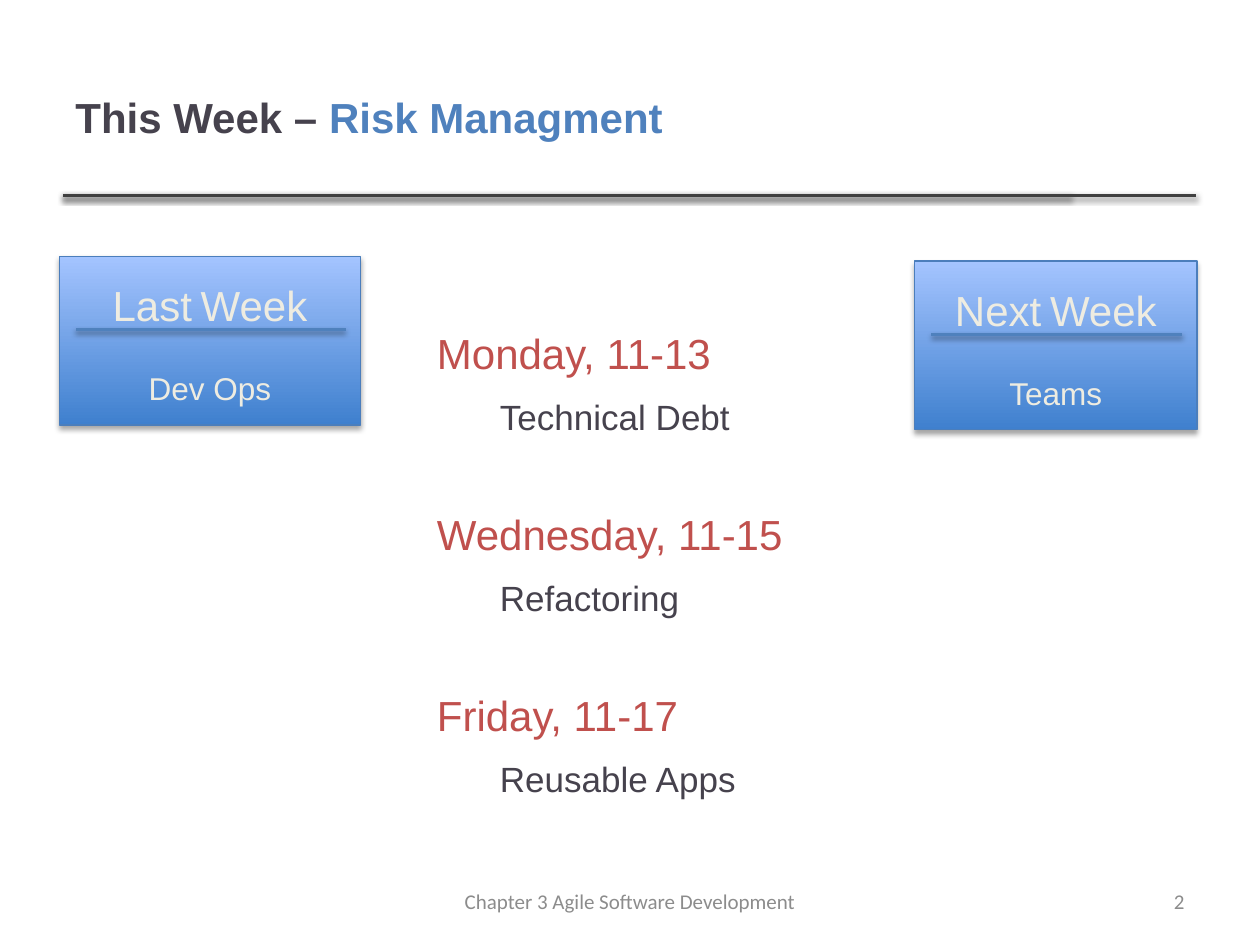
"""Build the weekly overview slide with the schedule and its neighbouring weeks."""
from dataclasses import dataclass

from lxml.etree import SubElement
from pptx import Presentation
from pptx.dml.color import RGBColor
from pptx.enum.shapes import MSO_CONNECTOR as Connector, MSO_SHAPE as Shape
from pptx.enum.text import MSO_ANCHOR as Anchor, PP_ALIGN as Align
from pptx.oxml.ns import qn
from pptx.util import Pt

INK = RGBColor(0x46, 0x42, 0x4D)
BLUE = RGBColor(0x4F, 0x81, 0xBD)
RED = RGBColor(0xC0, 0x50, 0x4D)
CREAM = RGBColor(0xEE, 0xEC, 0xE1)
GRAY = RGBColor(0x8C, 0x8C, 0x8C)
RULE_GRAY = RGBColor(0x40, 0x40, 0x40)
CARD_EDGE = RGBColor(0x4B, 0x7E, 0xBC)
CARD_DARK = RGBColor(0x3F, 0x80, 0xCE)
CARD_LIGHT = RGBColor(0xA4, 0xC4, 0xFF)


@dataclass
class Day:
    date: str
    topic: str


@dataclass
class Card:
    week: str
    topic: str
    left: float
    top: float
    width: float


DAYS = [
    Day("Monday, 11-13", "Technical Debt"),
    Day("Wednesday, 11-15", "Refactoring"),
    Day("Friday, 11-17", "Reusable Apps"),
]
CARDS = [
    Card("Next", "Teams", 522.7, 149.2, 161.3),
    Card("Last", "Dev Ops", 34, 146.4, 172),
]
CARD_HEIGHT = 96.5


def add_shadow(shape, opacity: int, distance: float) -> None:
    """Give a shape or connector a soft shadow falling downwards."""
    effects = SubElement(shape._element.spPr, qn("a:effectLst"))
    shadow = SubElement(
        effects, qn("a:outerShdw"), blurRad=str(Pt(3.1)), dist=str(Pt(distance)),
        dir="5400000", rotWithShape="0")
    color = SubElement(shadow, qn("a:srgbClr"), val="000000")
    SubElement(color, qn("a:alpha"), val=str(opacity * 1000))


def add_rule(page, left: float, right: float, y: float, color: RGBColor) -> None:
    """Draw a shadowed horizontal rule."""
    rule = page.shapes.add_connector(
        Connector.STRAIGHT, Pt(left), Pt(y), Pt(right), Pt(y))
    rule.line.color.rgb = color
    rule.line.width = Pt(2)
    add_shadow(rule, 38, 1.6)


def add_box(page, left: float, top: float, width: float, height: float,
            anchor=Anchor.TOP):
    """Add a wrapping text box and return its text frame."""
    frame = page.shapes.add_textbox(Pt(left), Pt(top), Pt(width), Pt(height)).text_frame
    frame.word_wrap = True
    frame.vertical_anchor = anchor
    return frame


def add_span(para, text: str, *, size: float, color: RGBColor,
             font: str = "Arial", bold: bool = False) -> None:
    """Append formatted text to a paragraph."""
    span = para.add_run()
    span.text = text
    span.font.size = Pt(size)
    span.font.name = font
    span.font.bold = bold
    span.font.color.rgb = color


def add_schedule(page, days: list[Day]) -> None:
    """List each date with its indented topic."""
    frame = add_box(page, 242.6, 182.2, 258.5, 272.9)
    for index, day in enumerate(days):
        date = frame.add_paragraph() if index else frame.paragraphs[0]
        date.space_before = Pt(36 if index else 6)
        date.space_after = Pt(6)
        add_span(date, day.date, size=24, color=RED)
        topic = frame.add_paragraph()
        topic.space_before = topic.space_after = Pt(3)
        topic._p.get_or_add_pPr().set("marL", str(Pt(36)))
        add_span(topic, day.topic, size=20, color=INK)
        date.line_spacing = topic.line_spacing = 1.05


def add_card(page, card: Card) -> None:
    """Draw a gradient card naming a week and its topic."""
    panel = page.shapes.add_shape(
        Shape.RECTANGLE, Pt(card.left), Pt(card.top), Pt(card.width), Pt(CARD_HEIGHT))
    panel.fill.gradient()
    panel.fill.gradient_angle = 90
    for stop, color, position in zip(
            panel.fill.gradient_stops, (CARD_DARK, CARD_LIGHT), (0, 1)):
        stop.color.rgb = color
        stop.position = position
    panel.line.color.rgb = CARD_EDGE
    panel.line.width = Pt(0.75)
    add_shadow(panel, 35, 1.8)

    frame = add_box(page, card.left, card.top + 10, card.width, 80)
    heading = frame.paragraphs[0]
    for text, size in ((card.week, 24), (" ", 18), ("Week", 24)):
        add_span(heading, text, size=size, color=CREAM)
    topic = frame.add_paragraph()
    topic.space_before = Pt(22)
    add_span(topic, card.topic, size=18, color=CREAM)
    heading.alignment = topic.alignment = Align.CENTER
    add_rule(page, card.left + 9.5, card.left + card.width - 8.5, card.top + 42, BLUE)


def add_footer(page, text: str, left: float, width: float, align) -> None:
    """Place one footer text."""
    para = add_box(page, left, 500.5, width, 28.75, Anchor.MIDDLE).paragraphs[0]
    para.alignment = align
    add_span(para, text, size=12, color=GRAY, font="Calibri")


def main() -> None:
    """Assemble and save the deck."""
    deck = Presentation()
    deck.slide_width, deck.slide_height = Pt(720), Pt(540)
    page = deck.slides.add_slide(deck.slide_layouts[6])

    for right in (611.5, 683.5):
        add_rule(page, 36, right, 111.6, RULE_GRAY)
    title = add_box(page, 36, 21.6, 574.6, 90, Anchor.MIDDLE).paragraphs[0]
    add_span(title, "This Week – ", size=24, color=INK, bold=True)
    add_span(title, "Risk Managment", size=24, color=BLUE, bold=True)

    add_schedule(page, DAYS)
    add_footer(page, "Chapter 3 Agile Software Development", 246, 228, Align.CENTER)
    add_footer(page, "2", 516, 168, Align.RIGHT)
    for card in CARDS:
        add_card(page, card)
    deck.save("out.pptx")


if __name__ == "__main__":
    main()
